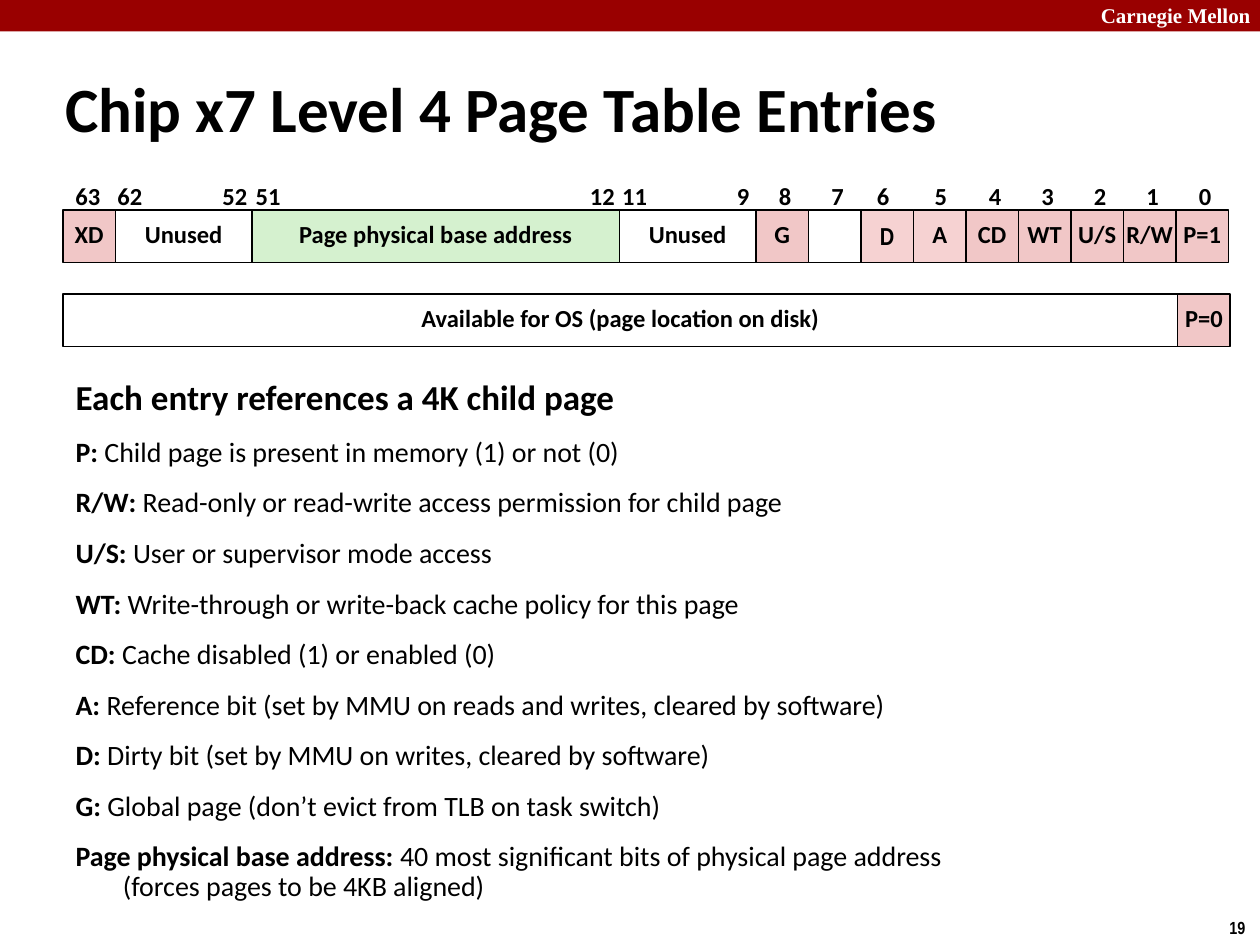
from pptx import Presentation
from pptx.dml.color import RGBColor
from pptx.enum.shapes import MSO_SHAPE as Shape
from pptx.enum.text import MSO_ANCHOR as Anchor, MSO_AUTO_SIZE as AutoSize, PP_ALIGN as Align
from pptx.oxml.xmlchemy import OxmlElement
from pptx.util import Pt

BLACK = RGBColor(0x00, 0x00, 0x00)
WHITE = RGBColor(0xFF, 0xFF, 0xFF)
RED = RGBColor(0x99, 0x00, 0x00)
GREEN = RGBColor(0xD5, 0xF1, 0xCF)
PINK = RGBColor(0xF1, 0xC7, 0xC7)
PALE_PINK = RGBColor(0xF6, 0xD2, 0xD2)

LEFT = 36
BIT = 30
SPACING = 0.88

PRESENT_FIELDS = [
    ("XD", BIT, PINK),
    ("Unused", 78, WHITE),
    ("Page physical base address", 210, GREEN),
    ("Unused", 78, WHITE),
    ("G", BIT, PINK),
    ("", BIT, WHITE),
    ("D", BIT, PALE_PINK),
    ("A", BIT, PALE_PINK),
    ("CD", BIT, PINK),
    ("WT", BIT, PINK),
    ("U/S", BIT, PINK),
    ("R/W", BIT, PINK),
    ("P=1", BIT, PINK),
]
ABSENT_FIELDS = [
    ("Available for OS (page location on disk)", 637, WHITE),
    ("P=0", BIT, PINK),
]
RANGE_LABELS = {63: 36, 62: 60, 52: 120, 51: 139, 12: 330, 11: 348.5, 9: 414, 6: 494, 5: 527}
BIT_LABELS = {bit: 678 - BIT * bit for bit in (8, 7, 4, 3, 2, 1, 0)}

HEADING = "Each entry references a 4K child page"
ENTRIES = [
    ("P: ", "Child page is present in memory (1) or not (0)"),
    ("R/W: ", "Read-only or read-write access permission for child page"),
    ("U/S: ", "User or supervisor mode access"),
    ("WT: ", "Write-through or write-back cache policy for this page"),
    ("CD: ", "Cache disabled (1) or enabled (0)"),
    ("A: ", "Reference bit (set by MMU on reads and writes, cleared by software)"),
    ("D: ", "Dirty bit (set by MMU on writes, cleared by software)"),
    ("G: ", "Global page (don’t evict from TLB on task switch)"),
    ("Page physical base address: ",
     "40 most significant bits of physical page address (forces pages to be 4KB aligned)"),
]


def style_font(font, size, name="Calibri", color=BLACK, bold=True):
    """Set the look of a run or paragraph font."""
    font.size = Pt(size)
    font.name = name
    font.color.rgb = color
    font.bold = bold


def place(shape, left, top, width, height):
    """Move and size a shape, in points."""
    shape.left, shape.top = Pt(left), Pt(top)
    shape.width, shape.height = Pt(width), Pt(height)


def add_rectangle(slide, left, top, width, height, fill):
    """Add a flat rectangle without an outline."""
    shape = slide.shapes.add_shape(Shape.RECTANGLE, Pt(left), Pt(top), Pt(width), Pt(height))
    shape.shadow.inherit = False
    shape.fill.solid()
    shape.fill.fore_color.rgb = fill
    shape.line.fill.background()
    return shape


def add_text(slide, text, left, top, width, height, size, spacing=1.0, **font):
    """Add a one-line text box."""
    text_frame = slide.shapes.add_textbox(Pt(left), Pt(top), Pt(width), Pt(height)).text_frame
    text_frame.word_wrap = False
    text_frame.text = text
    paragraph = text_frame.paragraphs[0]
    paragraph.line_spacing = spacing
    style_font(paragraph.runs[0].font, size, **font)


def add_fields(slide, fields, top):
    """Lay out one page table entry as a row of outlined fields."""
    left = LEFT
    for text, width, fill in fields:
        shape = add_rectangle(slide, left, top, width, BIT, fill)
        shape.line.color.rgb = BLACK
        shape.line.width = Pt(0.75)
        left += width
        if not text:
            continue
        text_frame = shape.text_frame
        text_frame.word_wrap = False
        text_frame.vertical_anchor = Anchor.MIDDLE
        text_frame.text = text
        paragraph = text_frame.paragraphs[0]
        paragraph.alignment = Align.CENTER
        is_dirty_bit = text == "D"
        paragraph.line_spacing = 1.0 if is_dirty_bit else SPACING
        style_font(paragraph.runs[0].font, 14, "Arial Narrow" if is_dirty_bit else "Calibri")


def format_entry(paragraph, space_before):
    """Give a body paragraph a hanging indent and no bullet."""
    properties = paragraph._p.get_or_add_pPr()
    properties.set("marL", str(Pt(27)))
    properties.set("indent", str(Pt(-27)))
    properties.append(OxmlElement("a:buNone"))
    paragraph.alignment = Align.LEFT
    paragraph.line_spacing = SPACING
    paragraph.space_before = Pt(space_before)


def fill_title(title):
    """Write the slide title."""
    place(title, 30, 39, 579, 45)
    text_frame = title.text_frame
    text_frame.auto_size = AutoSize.NONE
    text_frame.vertical_anchor = Anchor.MIDDLE
    text_frame.text = "Chip x7 Level 4 Page Table Entries"
    paragraph = text_frame.paragraphs[0]
    paragraph.alignment = Align.LEFT
    style_font(paragraph.runs[0].font, 36)


def fill_body(body):
    """Write the heading and the explanation of each field."""
    place(body, LEFT, 214, 545.8, 308)
    text_frame = body.text_frame
    text_frame.auto_size = AutoSize.NONE
    text_frame.text = HEADING
    heading = text_frame.paragraphs[0]
    format_entry(heading, 0)
    style_font(heading.runs[0].font, 20)
    for field, meaning in ENTRIES:
        paragraph = text_frame.add_paragraph()
        format_entry(paragraph, 12)
        for text, bold in ((field, True), (meaning, False)):
            run = paragraph.add_run()
            run.text = text
            style_font(run.font, 16, bold=bold)


def main():
    """Build the slide and save it."""
    presentation = Presentation()
    presentation.slide_width, presentation.slide_height = Pt(720), Pt(540)
    slide = presentation.slides.add_slide(presentation.slide_layouts[1])
    add_rectangle(slide, 0, 0, 720, 18, RED)
    add_text(slide, "Carnegie Mellon", 622, -2, 103, 21.6, 12,
             name="Times New Roman", color=WHITE)
    add_text(slide, "19", 695.5, 520.5, 24.5, 19.4, 10, name="Arial Narrow")
    fill_title(slide.shapes.title)
    fill_body(slide.placeholders[1])
    add_fields(slide, PRESENT_FIELDS, 120)
    add_fields(slide, ABSENT_FIELDS, 168)
    for bit, left in (RANGE_LABELS | BIT_LABELS).items():
        add_text(slide, str(bit), left, 102, 28.8 if bit > 9 else 21.6, 22.3, 14, SPACING)
    presentation.save("out.pptx")


if __name__ == "__main__":
    main()
